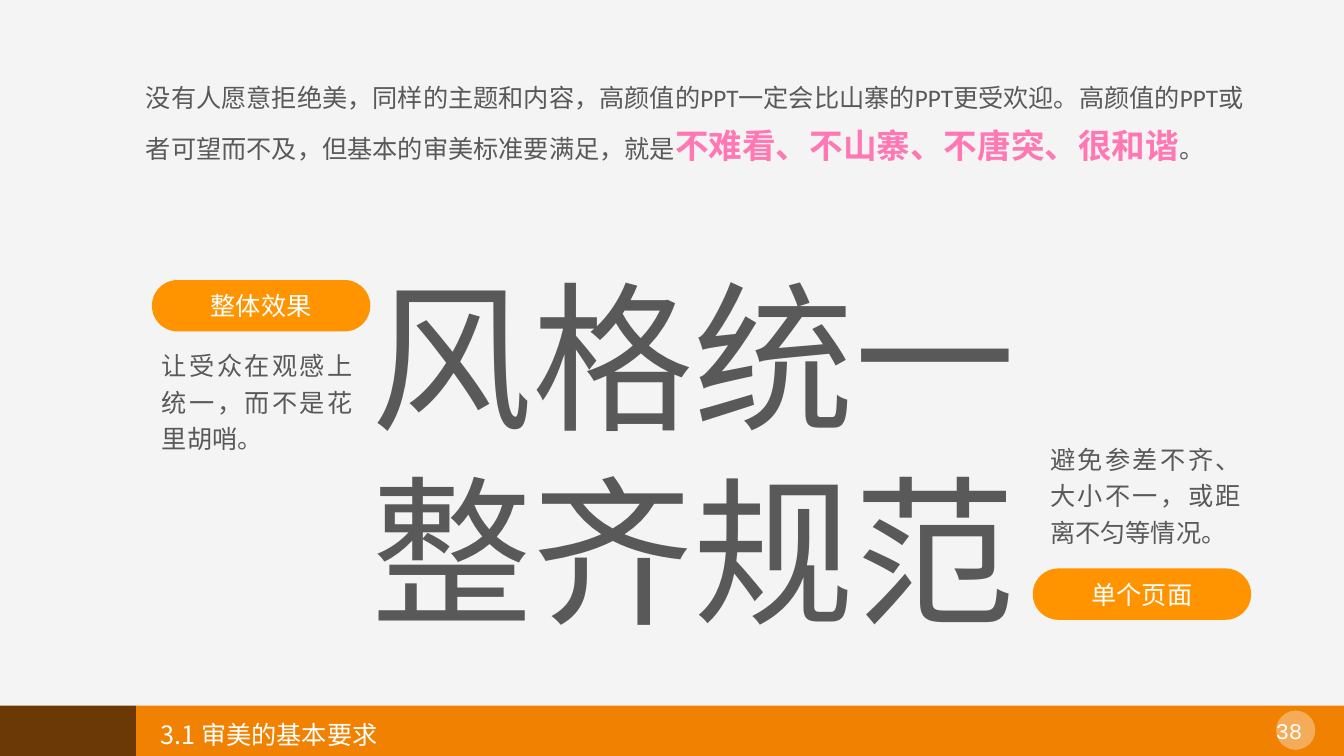
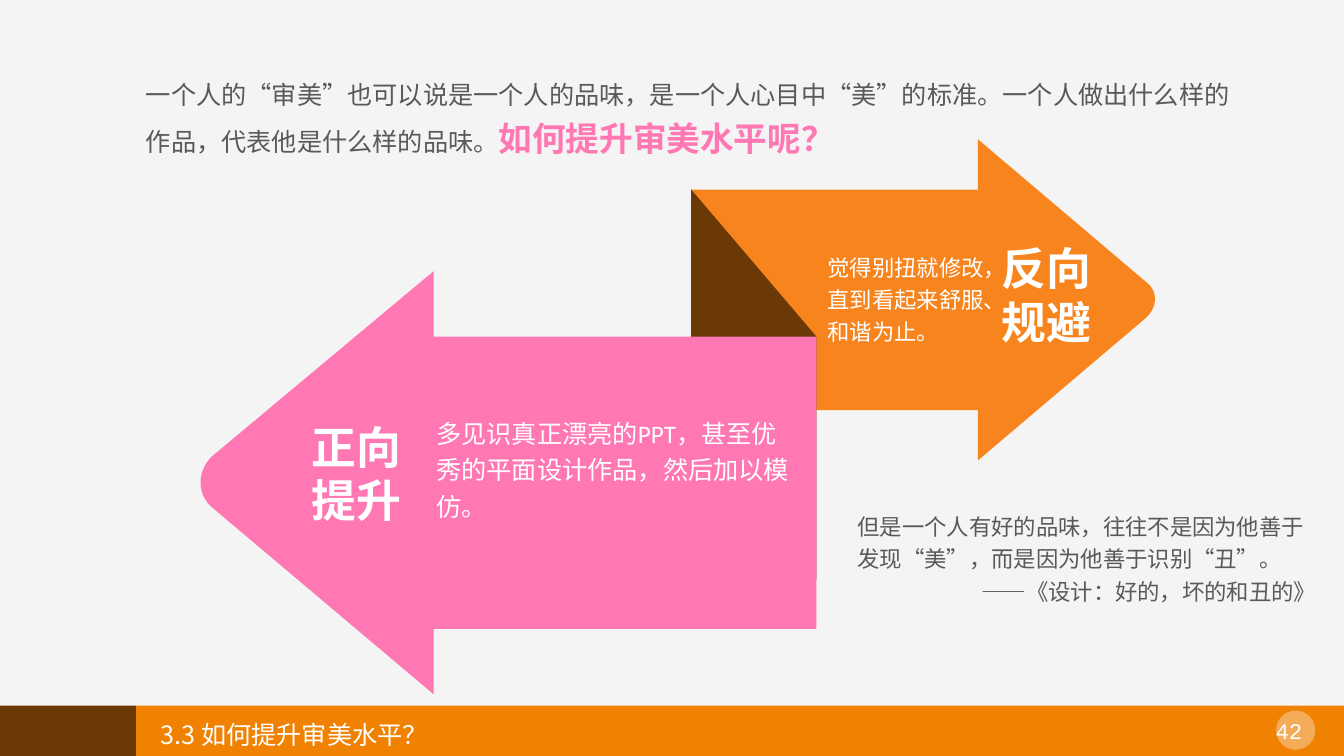
from dataclasses import dataclass
from typing import NamedTuple

from lxml.etree import SubElement
from pptx import Presentation
from pptx.dml.color import RGBColor
from pptx.enum.shapes import MSO_SHAPE
from pptx.enum.text import MSO_ANCHOR, MSO_AUTO_SIZE, PP_ALIGN
from pptx.oxml.ns import qn
from pptx.util import Pt


@dataclass(frozen=True)
class Theme:
    paper: str = "F4F4F4"
    brown: str = "6B3906"
    band: str = "F18101"
    pill: str = "FF9300"
    orange: str = "F8841D"
    pink: str = "FF77B3"
    ink: str = "595959"
    white: str = "FFFFFF"
    body_font: str = "Calibri"
    title_font: str = "Noto Sans CJK SC"
    number_font: str = "Courier New"
    small: float = 16
    body: float = 18
    accent: float = 24
    label: float = 32
    headline: float = 115


THEME = Theme()
WIDTH, HEIGHT = 960, 540
BAND_TOP, BAND_SPLIT = 504, 97.2


class Frame(NamedTuple):
    left: float
    top: float
    width: float
    height: float


class Span(NamedTuple):
    text: str
    size: float = THEME.body
    color: str = THEME.ink
    bold: bool = False
    font: str = THEME.body_font


class Line(NamedTuple):
    spans: tuple[Span, ...]
    spacing: float = 1.0
    alignment: PP_ALIGN = PP_ALIGN.LEFT


class TextBlock(NamedTuple):
    frame: Frame
    lines: tuple[Line, ...]
    wrap: bool = True


class Pill(NamedTuple):
    frame: Frame
    caption: str


class Arrow(NamedTuple):
    tip: tuple[tuple[float, float], ...]
    notch: float
    tail: float
    head_edges: tuple[float, float]
    shaft_edges: tuple[float, float]
    color: str


def paint(shape, color: str) -> None:
    shape.shadow.inherit = False
    shape.fill.solid()
    shape.fill.fore_color.rgb = RGBColor.from_string(color)
    shape.line.fill.background()


def add_solid(page, kind: MSO_SHAPE, frame: Frame, color: str):
    shape = page.shapes.add_shape(kind, *map(Pt, frame))
    paint(shape, color)
    return shape


def write_line(para, line: Line) -> None:
    para.alignment = line.alignment
    para.line_spacing = line.spacing
    for item in line.spans:
        span = para.add_run()
        span.text = item.text
        formats = {"name": item.font, "size": Pt(item.size), "bold": item.bold}
        for name, value in formats.items():
            setattr(span.font, name, value)
        span.font.color.rgb = RGBColor.from_string(item.color)
        properties = span.font._element
        properties.set("lang", "zh-CN")
        SubElement(properties, qn("a:ea")).set("typeface", THEME.title_font)


def write_lines(text_frame, lines: tuple[Line, ...]) -> None:
    for index, line in enumerate(lines):
        para = text_frame.add_paragraph() if index else text_frame.paragraphs[0]
        write_line(para, line)


def add_text(page, block: TextBlock) -> None:
    box = page.shapes.add_textbox(*map(Pt, block.frame))
    box.text_frame.word_wrap = block.wrap
    box.text_frame.auto_size = MSO_AUTO_SIZE.SHAPE_TO_FIT_TEXT
    write_lines(box.text_frame, block.lines)


def add_pill(page, pill: Pill) -> None:
    shape = add_solid(page, MSO_SHAPE.ROUNDED_RECTANGLE, pill.frame, THEME.pill)
    shape.adjustments[0] = 0.5
    shape.text_frame.vertical_anchor = MSO_ANCHOR.MIDDLE
    caption = Span(pill.caption, color=THEME.white)
    write_lines(shape.text_frame, (Line((caption,), alignment=PP_ALIGN.CENTER),))


def add_outline(page, points: list[tuple[float, float]], color: str) -> None:
    corners = [(Pt(x), Pt(y)) for x, y in points]
    builder = page.shapes.build_freeform(*corners[0])
    builder.add_line_segments(corners[1:], close=True)
    paint(builder.convert_to_shape(), color)


def curve_points(controls: tuple[tuple[float, float], ...], steps: int = 16) -> list[tuple[float, float]]:
    points = []
    for step in range(steps + 1):
        t = step / steps
        weights = ((1 - t) ** 3, 3 * t * (1 - t) ** 2, 3 * t * t * (1 - t), t**3)
        points.append(tuple(sum(w * c[axis] for w, c in zip(weights, controls)) for axis in (0, 1)))
    return points


def add_arrow(page, arrow: Arrow) -> None:
    head_top, head_bottom = arrow.head_edges
    shaft_top, shaft_bottom = arrow.shaft_edges
    corners = [
        (arrow.notch, head_bottom),
        (arrow.notch, shaft_bottom),
        (arrow.tail, shaft_bottom),
        (arrow.tail, shaft_top),
        (arrow.notch, shaft_top),
        (arrow.notch, head_top),
    ]
    add_outline(page, curve_points(arrow.tip) + corners, arrow.color)


def add_page(deck, number: int, title: str):
    page = deck.slides.add_slide(deck.slide_layouts[6])
    page.background.fill.solid()
    page.background.fill.fore_color.rgb = RGBColor.from_string(THEME.paper)
    band_height = HEIGHT - BAND_TOP
    add_solid(page, MSO_SHAPE.RECTANGLE, Frame(0, BAND_TOP, BAND_SPLIT, band_height), THEME.brown)
    add_solid(page, MSO_SHAPE.RECTANGLE, Frame(BAND_SPLIT, BAND_TOP, WIDTH - BAND_SPLIT, band_height), THEME.band)
    disc = add_solid(page, MSO_SHAPE.OVAL, Frame(911.5, 507.6, 28, 28), THEME.white)
    for tint in disc._element.spPr.iter(qn("a:srgbClr")):
        SubElement(tint, qn("a:alpha")).set("val", "35000")
    number_span = Span(f"{number} ", THEME.small, THEME.white, font=THEME.number_font)
    add_text(page, TextBlock(Frame(900, 508.6, 51, 26.6), (Line((number_span,), alignment=PP_ALIGN.CENTER),)))
    title_span = Span(title, color=THEME.white, font=THEME.title_font)
    add_text(page, TextBlock(Frame(107.5, BAND_TOP, 415.5, 35), (Line((title_span,), 1.3),)))
    return page


def label_block(frame: Frame, words: tuple[str, ...]) -> TextBlock:
    lines = tuple(Line((Span(word, THEME.label, THEME.white, True),)) for word in words)
    return TextBlock(frame, lines, wrap=False)


def build_requirements(deck) -> None:
    page = add_page(deck, 38, "3.1 审美的基本要求")
    intro = (
        Span("没有人愿意拒绝美，同样的主题和内容，高颜值的PPT一定会比山寨的PPT更受欢迎。"
             "高颜值的PPT或者可望而不及，但基本的审美标准要满足，就是"),
        Span("不难看、不山寨、不唐突、很和谐", THEME.accent, THEME.pink, True),
        Span("。"),
    )
    add_text(page, TextBlock(Frame(BAND_SPLIT, 49, 801, 73.5), (Line(intro, 1.3),)))
    for pill in (
        Pill(Frame(108.5, 200, 156, 36.7), "整体效果"),
        Pill(Frame(737.7, 406, 156, 36.7), "单个页面"),
    ):
        add_pill(page, pill)
    headline = tuple(
        Line((Span(words, THEME.headline, font=THEME.title_font),)) for words in ("风格统一", "整齐规范")
    )
    add_text(page, TextBlock(Frame(258.5, 180.7, 479, 286), headline, wrap=False))
    for left, top, note in (
        (108.5, 242.6, "让受众在观感上统一，而不是花里胡哨。"),
        (743, 309.6, "避免参差不齐、大小不一，或距离不匀等情况。"),
    ):
        line = Line((Span(note),), 1.2, PP_ALIGN.JUSTIFY)
        add_text(page, TextBlock(Frame(left, top, 150.5, 85.7), (line,)))


def build_improvement(deck) -> None:
    page = add_page(deck, 42, "3.3 如何提升审美水平？")
    fold_left, fold_right, fold_top, fold_bottom = 493.7, 583.2, 135.4, 240.5
    add_arrow(page, Arrow(
        tip=((818, 200.9), (827.3, 207.4), (827.3, 219.6), (818, 227.5)),
        notch=698.4, tail=fold_left,
        head_edges=(99.4, 329), shaft_edges=(fold_top, 293), color=THEME.orange,
    ))
    add_outline(page, [
        (fold_left, fold_top), (fold_right, fold_bottom), (fold_right, 414), (fold_left, 334.8),
    ], THEME.brown)
    add_arrow(page, Arrow(
        tip=((151.2, 326.2), (140.6, 337), (140.6, 352.8), (151.2, 362.2)),
        notch=309.8, tail=fold_right,
        head_edges=(193.7, 496), shaft_edges=(fold_bottom, 449.3), color=THEME.pink,
    ))
    advice = Span("多见识真正漂亮的PPT，甚至优秀的平面设计作品，然后加以模仿。", color=THEME.white)
    caution = Span("觉得别扭就修改，直到看起来舒服、和谐为止。", THEME.small, THEME.white)
    quote = Span("但是一个人有好的品味，往往不是因为他善于发现“美”，而是因为他善于识别“丑”。", THEME.small)
    credit = Span("——《设计：好的，坏的和丑的》", THEME.small)
    intro = (
        Span("一个人的“审美”也可以说是一个人的品味，是一个人心目中“美”的标准。"
             "一个人做出什么样的作品，代表他是什么样的品味。"),
        Span("如何提升审美水平呢？", THEME.accent, THEME.pink, True),
    )
    for block in (
        TextBlock(Frame(304.6, 291, 268.5, 85.7), (Line((advice,), 1.2),)),
        label_block(Frame(215.3, 296, 79, 85), ("正向", "提升")),
        label_block(Frame(708.5, 168.5, 79, 85), ("反向", "规避")),
        TextBlock(Frame(584, 174.2, 149, 77), (Line((caution,), 1.2),)),
        TextBlock(Frame(605.5, 359.3, 342, 75.6), (
            Line((quote,), 1.2), Line((credit,), 1.2, PP_ALIGN.RIGHT),
        )),
        TextBlock(Frame(BAND_SPLIT, 49, 801, 65.5), (Line(intro, 1.2),)),
    ):
        add_text(page, block)


def main() -> None:
    deck = Presentation()
    deck.slide_width, deck.slide_height = Pt(WIDTH), Pt(HEIGHT)
    build_requirements(deck)
    build_improvement(deck)
    deck.save("out.pptx")


if __name__ == "__main__":
    main()
